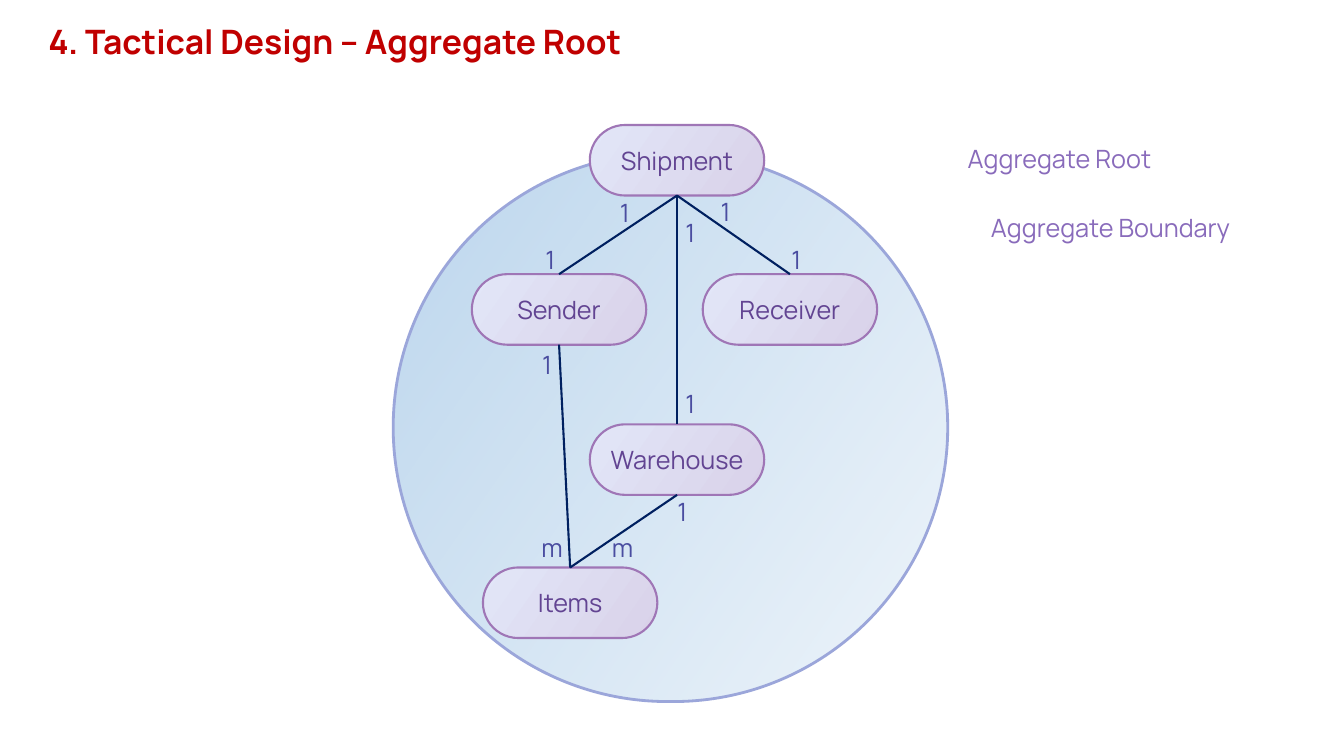
from dataclasses import dataclass

from lxml import etree
from pptx import Presentation
from pptx.dml.color import RGBColor
from pptx.enum.shapes import MSO_CONNECTOR, MSO_SHAPE
from pptx.enum.text import MSO_ANCHOR, PP_ALIGN
from pptx.oxml.ns import qn
from pptx.util import Inches, Pt

ROUNDED = MSO_SHAPE.ROUNDED_RECTANGLE
STRAIGHT = MSO_CONNECTOR.STRAIGHT
LEFT, CENTER = PP_ALIGN.LEFT, PP_ALIGN.CENTER
TOP, MIDDLE = MSO_ANCHOR.TOP, MSO_ANCHOR.MIDDLE
TOP_SITE, BOTTOM_SITE = 0, 2


@dataclass(frozen=True)
class Theme:
    font: str = "Manrope"
    title_size: float = 24
    body_size: float = 18
    title: str = "C00000"
    entity_text: str = "624492"
    multiplicity: str = "4A4DA0"
    legend: str = "896BBB"
    relation: str = "002060"
    entity_line: str = "9F76B6"
    entity_fill: tuple = ("E2E6F8", "D9D2E9")
    boundary_line: str = "9BA6DA"
    boundary_fill: tuple = ("BDD7EE", "BDD7EE")
    thin: float = 1.5
    thick: float = 2
    gradient_angle: float = 325


THEME = Theme()

ENTITY_SIZE = (1.73, 0.7)
# Entity offsets within the diagram
ENTITIES = {
    "Shipment": (1.95, 0),
    "Sender": (0.78, 1.48),
    "Receiver": (3.07, 1.48),
    "Warehouse": (1.95, 2.97),
    "Items": (0.89, 4.39),
}
# Parent, child, then the multiplicity and its offset at each end
RELATIONS = [
    ("Shipment", "Sender", ("1", 2.15, 0.67), ("1", 1.41, 1.13)),
    ("Shipment", "Receiver", ("1", 3.15, 0.66), ("1", 3.85, 1.13)),
    ("Shipment", "Warehouse", ("1", 2.8, 0.87), ("1", 2.8, 2.56)),
    ("Sender", "Items", ("1", 1.38, 2.18), ("m", 1.37, 3.99)),
    ("Warehouse", "Items", ("1", 2.72, 3.63), ("m", 2.07, 3.99)),
]
LABEL_WIDTHS = {"1": 0.3, "m": 0.42}
LABEL_HEIGHT = 0.4


def write_text(shape, text, *, color, size=THEME.body_size, bold=False, align=LEFT,
               anchor=TOP, wrap=False, insets=(0.1, 0.05), line_spacing=None):
    frame = shape.text_frame
    frame.word_wrap = wrap
    frame.vertical_anchor = anchor
    frame.margin_left = frame.margin_right = Inches(insets[0])
    frame.margin_top = frame.margin_bottom = Inches(insets[1])
    paragraph = frame.paragraphs[0]
    paragraph.alignment = align
    if line_spacing:
        paragraph.line_spacing = line_spacing
    run = paragraph.add_run()
    run.text = text
    run.font.name = THEME.font
    run.font.size = Pt(size)
    run.font.bold = bold
    run.font.color.rgb = RGBColor.from_string(color)


def add_text(slide, box, text, **text_format):
    shape = slide.shapes.add_textbox(*map(Inches, box))
    write_text(shape, text, **text_format)


def add_pill(slide, box, colors, line_color, line_width):
    shape = slide.shapes.add_shape(ROUNDED, *map(Inches, box))
    shape.adjustments[0] = 0.5
    shape.shadow.inherit = False
    shape.fill.gradient()
    shape.fill.gradient_angle = THEME.gradient_angle
    for stop, color, position in zip(shape.fill.gradient_stops, colors, (0, 1)):
        stop.color.rgb = RGBColor.from_string(color)
        stop.position = position
    shape.line.color.rgb = RGBColor.from_string(line_color)
    shape.line.width = Pt(line_width)
    return shape


def add_boundary(slide, box):
    shape = add_pill(slide, box, THEME.boundary_fill, THEME.boundary_line, THEME.thick)
    # Fade the last gradient stop to 25 % opacity
    last_color = list(shape.element.spPr.iter(qn("a:srgbClr")))[1]
    etree.SubElement(last_color, qn("a:alpha"), val="25000")


def add_entity(slide, left, top, name):
    shape = add_pill(slide, (left, top, *ENTITY_SIZE), THEME.entity_fill,
                     THEME.entity_line, THEME.thin)
    write_text(shape, name, color=THEME.entity_text, align=CENTER, anchor=MIDDLE, wrap=True)
    return shape


def add_relation(slide, parent, child):
    connector = slide.shapes.add_connector(STRAIGHT, 0, 0, 0, 0)
    connector.begin_connect(parent, BOTTOM_SITE)
    connector.end_connect(child, TOP_SITE)
    connector.line.color.rgb = RGBColor.from_string(THEME.relation)
    connector.line.width = Pt(THEME.thin)
    etree.SubElement(connector.element.spPr, qn("a:effectLst"))


def add_title(slide, box):
    add_text(slide, box, "4. Tactical Design – Aggregate Root", color=THEME.title,
             size=THEME.title_size, bold=True, wrap=True, insets=(0.05, 0.03),
             line_spacing=0.8)


def add_diagram(slide, box):
    left, top, width, height = box
    # The root sits on the upper edge of the boundary
    overhang = 0.28
    add_boundary(slide, (left, top + overhang, width, height - overhang))
    entities = {name: add_entity(slide, left + x, top + y, name)
                for name, (x, y) in ENTITIES.items()}
    for parent, child, *labels in RELATIONS:
        add_relation(slide, entities[parent], entities[child])
        for text, x, y in labels:
            add_text(slide, (left + x, top + y, LABEL_WIDTHS[text], LABEL_HEIGHT), text,
                     color=THEME.multiplicity)


def add_legend(slide, box):
    left, top, width, height = box
    indent = 0.23
    add_text(slide, (left, top, 2.04, LABEL_HEIGHT), "Aggregate Root", color=THEME.legend)
    add_text(slide, (left + indent, top + height - LABEL_HEIGHT, width - indent, LABEL_HEIGHT),
             "Aggregate Boundary", color=THEME.legend)


def main():
    presentation = Presentation()
    presentation.slide_width = Inches(13.33)
    presentation.slide_height = Inches(7.5)
    slide = presentation.slides.add_slide(presentation.slide_layouts[6])
    add_title(slide, (0.43, 0.25, 10.64, 0.38))
    add_diagram(slide, (3.9, 1.24, 5.5, 5.72))
    add_legend(slide, (9.5, 1.37, 2.85, 1.09))
    presentation.save("out.pptx")


if __name__ == "__main__":
    main()
